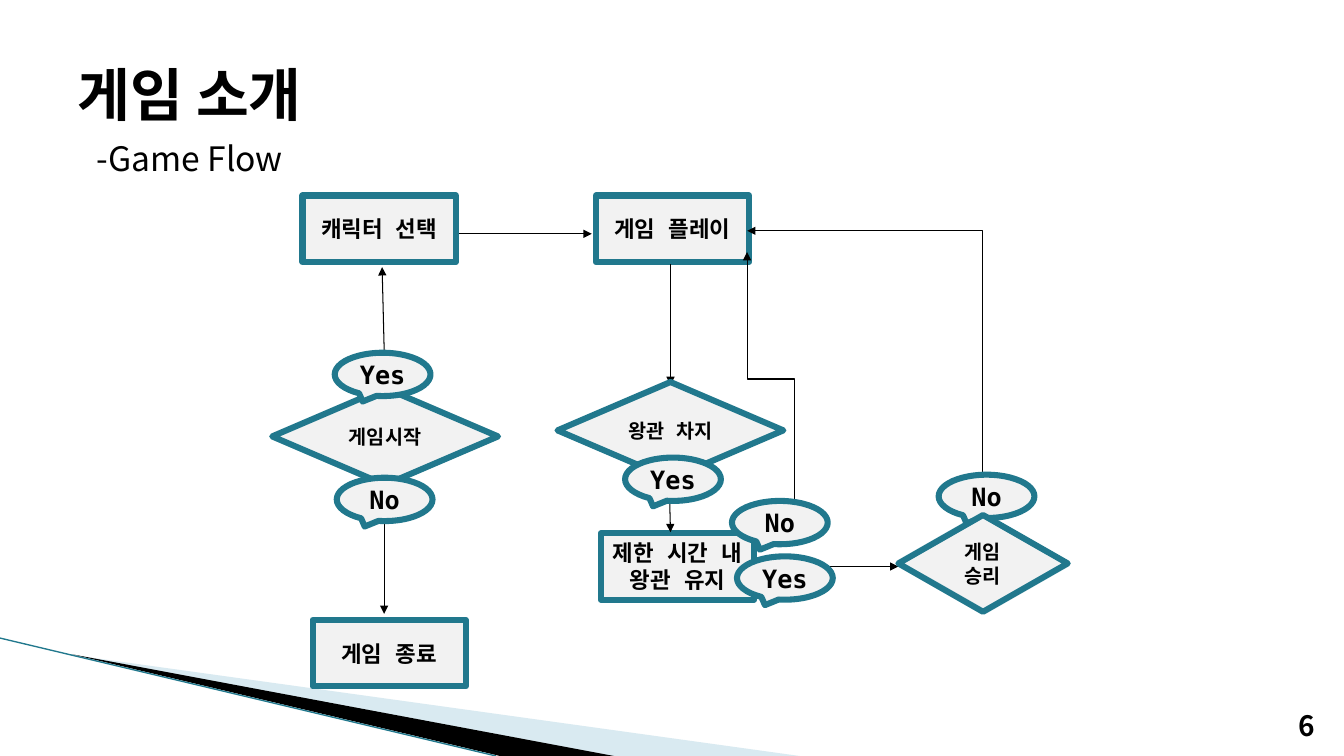
from lxml.etree import SubElement
from pptx import Presentation
from pptx.dml.color import RGBColor
from pptx.enum.shapes import MSO_CONNECTOR, MSO_SHAPE
from pptx.enum.text import MSO_ANCHOR, PP_ALIGN
from pptx.oxml.ns import qn
from pptx.util import Inches, Pt

BLACK = RGBColor(0x00, 0x00, 0x00)
TEAL = RGBColor(0x21, 0x78, 0x8D)
PALE_BLUE = RGBColor(0xA0, 0xCB, 0xDC)
LIGHT_GRAY = RGBColor(0xF2, 0xF2, 0xF2)

HEADING_FONT = "Noto Sans CJK KR"
FLOW_FONT = "DejaVu Sans Mono"


def write_text(shape, text, size, font=FLOW_FONT, bold=True,
               align=PP_ALIGN.CENTER, anchor=MSO_ANCHOR.MIDDLE):
    frame = shape.text_frame
    frame.word_wrap = True
    frame.vertical_anchor = anchor
    paragraph = frame.paragraphs[0]
    paragraph.alignment = align
    run = paragraph.add_run()
    run.text = text
    run.font.size = Pt(size)
    run.font.bold = bold
    run.font.name = font
    run.font.color.rgb = BLACK
    # Hangul takes its typeface from the East Asian font
    SubElement(run.font._element, qn("a:ea"), typeface=font)


class FlowSlide:
    """Holds the slide and draws its elements in the flow chart's style."""

    border_width = 4.33
    arrow_width = 0.75

    def __init__(self, slide):
        self.slide = slide
        self.shapes = slide.shapes

    def label(self, text, left, top, width, height, size, **text_format):
        box = self.shapes.add_textbox(
            Inches(left), Inches(top), Inches(width), Inches(height))
        write_text(box, text, size, font=HEADING_FONT, **text_format)

    def node(self, kind, text, left, top, width, height, size):
        shape = self.shapes.add_shape(
            kind, Inches(left), Inches(top), Inches(width), Inches(height))
        shape.shadow.inherit = False
        shape.fill.solid()
        shape.fill.fore_color.rgb = LIGHT_GRAY
        shape.line.color.rgb = TEAL
        shape.line.width = Pt(self.border_width)
        write_text(shape, text, size)
        return shape

    def process(self, text, left, top):
        return self.node(MSO_SHAPE.FLOWCHART_PROCESS, text, left, top, 1.52, 0.66, 16)

    def decision(self, text, left, top, width=2.24):
        return self.node(MSO_SHAPE.FLOWCHART_DECISION, text, left, top, width, 0.96, 14)

    def answer(self, text, left, top):
        return self.node(MSO_SHAPE.OVAL_CALLOUT, text, left, top, 0.95, 0.43, 18)

    def line(self, start, end, kind=MSO_CONNECTOR.STRAIGHT, color=BLACK,
             width=arrow_width, arrow=True):
        connector = self.shapes.add_connector(
            kind, *(Inches(value) for value in (*start, *end)))
        connector.line.color.rgb = color
        connector.line.width = Pt(width)
        if arrow:
            SubElement(connector.line._get_or_add_ln(), qn("a:tailEnd"), type="triangle")
        SubElement(connector.element.spPr, qn("a:effectLst"))
        return connector

    def rising_elbow(self, start, end, preset):
        """Elbow that leaves upward and ends further left: a quarter-turned box."""
        center_x, center_y = (start[0] + end[0]) / 2, (start[1] + end[1]) / 2
        half_rise, half_run = (start[1] - end[1]) / 2, (start[0] - end[0]) / 2
        connector = self.line((center_x - half_rise, center_y + half_run),
                              (center_x + half_rise, center_y - half_run),
                              kind=MSO_CONNECTOR.ELBOW)
        properties = connector.element.spPr
        properties.find(qn("a:xfrm")).set("rot", str(270 * 60000))
        properties.find(qn("a:prstGeom")).set("prst", preset)

    def wedge(self, points, color, opacity=None):
        corners = [(Inches(x), Inches(y)) for x, y in points]
        builder = self.shapes.build_freeform(*corners[0])
        builder.add_line_segments(corners[1:], close=True)
        shape = builder.convert_to_shape()
        shape.shadow.inherit = False
        shape.fill.solid()
        shape.fill.fore_color.rgb = color
        shape.line.fill.background()
        if opacity is not None:
            color_element = shape.element.spPr.find(qn("a:solidFill"))[0]
            SubElement(color_element, qn("a:alpha"), val=str(opacity * 1000))


def main():
    presentation = Presentation()
    presentation.slide_width = Inches(13.33)
    presentation.slide_height = Inches(7.5)
    flow = FlowSlide(presentation.slides.add_slide(presentation.slide_layouts[6]))

    # Corner decoration
    flow.wedge([(0.73, 6.5), (7.93, 7.5), (6.08, 7.5)], PALE_BLUE, opacity=40)
    flow.wedge([(0.71, 6.49), (6.09, 7.5), (4.96, 7.5)], BLACK)
    flow.line((0, 6.33), (4.92, 7.5), color=TEAL, width=0.95, arrow=False)

    # Headings and page number
    flow.label("게임 소개", 0.67, 0.3, 12, 1.25, 41, align=PP_ALIGN.LEFT)
    flow.label("-Game Flow", 0.86, 1.32, 2.82, 0.5, 24, bold=False,
               align=PP_ALIGN.LEFT, anchor=MSO_ANCHOR.TOP)
    flow.label("6", 12.61, 7.01, 0.53, 0.4, 20, align=PP_ALIGN.RIGHT,
               anchor=MSO_ANCHOR.BOTTOM)

    # Process boxes
    flow.process("캐릭터 선택", 3, 1.94)
    flow.process("게임 종료", 3.1, 6.15)
    flow.process("게임 플레이", 5.91, 1.94)
    keep_crown = flow.process("제한 시간 내 왕관 유지", 5.96, 5.29)

    # Start decision lies below its arrows
    flow.decision("게임시작", 2.7, 3.85)

    # Arrows
    for start, end in [
        ((3.82, 3.85), (3.79, 2.65)),
        ((3.81, 5.17), (3.81, 6.09)),
        ((4.55, 2.32), (5.87, 2.32)),
        ((6.65, 2.62), (6.65, 3.82)),
        ((6.64, 4.88), (6.65, 5.28)),
    ]:
        flow.line(start, end)
    to_victory = flow.line((7.48, 5.62), (8.91, 5.62))
    to_victory.begin_connect(keep_crown, 3)
    flow.rising_elbow((9.74, 4.78), (7.41, 2.29), "bentConnector2")
    flow.rising_elbow((7.88, 5.02), (7.41, 2.5), "bentConnector3")

    # Remaining decisions, with the victory answer behind its diamond
    flow.decision("왕관 차지", 5.53, 3.79)
    flow.answer("No", 9.31, 4.71)
    flow.decision("게임 승리", 8.91, 5.11, width=1.68)

    # Answers on top
    for text, left, top in [
        ("Yes", 3.32, 3.5),
        ("No", 3.34, 4.74),
        ("Yes", 6.2, 4.54),
        ("Yes", 7.31, 5.52),
        ("No", 7.26, 4.97),
    ]:
        flow.answer(text, left, top)

    presentation.save("out.pptx")


if __name__ == "__main__":
    main()
